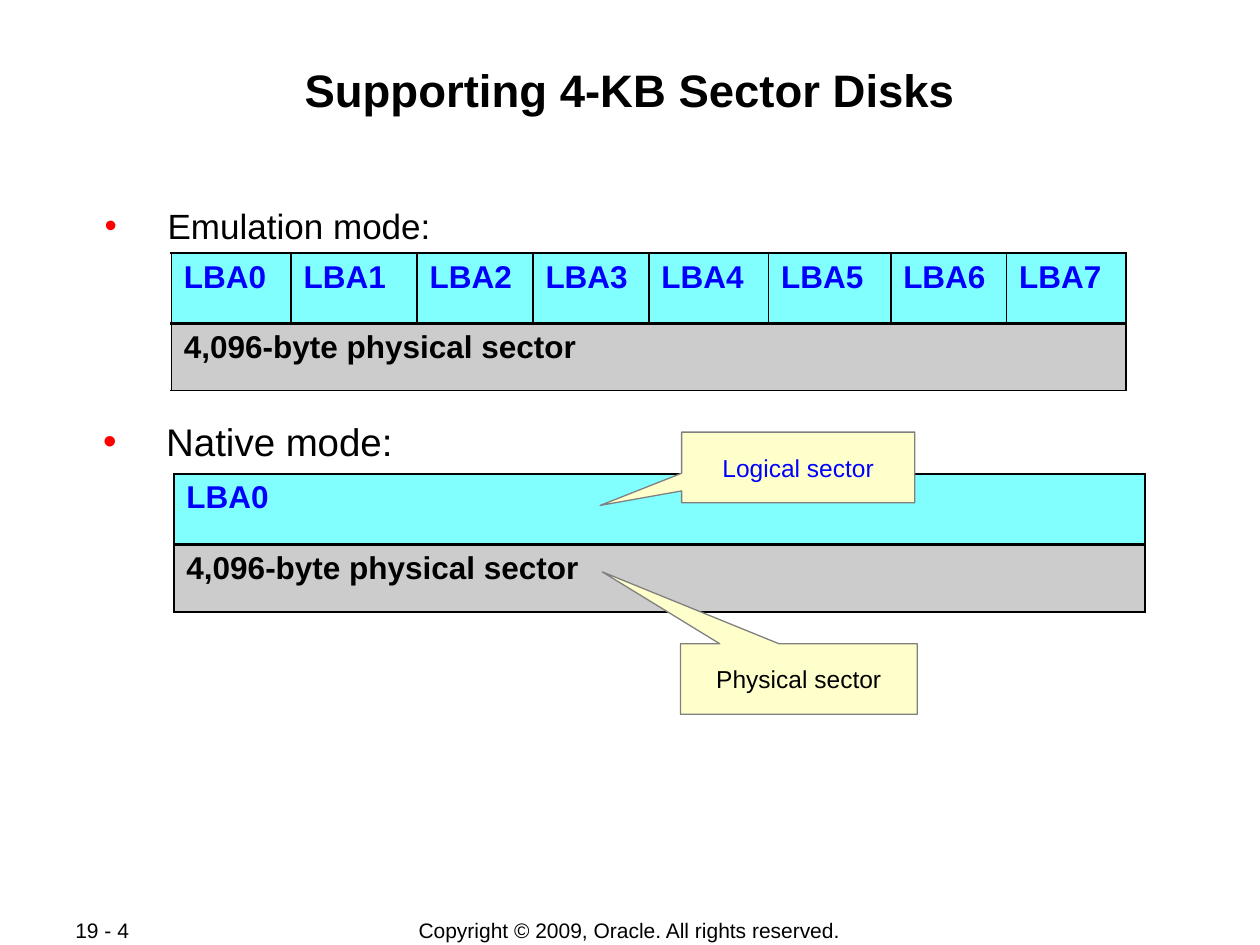
"""Build a slide on how 4-KB sector disks are supported."""
import pptx
import pptx.dml.color
import pptx.enum.shapes
import pptx.enum.text
import pptx.oxml
import pptx.oxml.ns
import pptx.util

Inches = pptx.util.Inches
Pt = pptx.util.Pt
RGBColor = pptx.dml.color.RGBColor
Align = pptx.enum.text.PP_ALIGN
Anchor = pptx.enum.text.MSO_ANCHOR

BLACK = RGBColor(0, 0, 0)
BLUE = RGBColor(0, 0, 255)
RED = RGBColor(255, 0, 0)
CYAN = RGBColor(0x81, 0xFF, 0xFF)
GRAY = RGBColor(0xCC, 0xCC, 0xCC)
CREAM = RGBColor(0xFF, 0xFF, 0xCC)
EDGE = RGBColor(0x80, 0x80, 0x80)

THIN = 1.08
THICK = 2.21
SECTOR = "4,096-byte physical sector"


def set_all(item, values):
    for name, value in values.items():
        setattr(item, name, value)


def add_xml(parent, body):
    space = pptx.oxml.ns.nsdecls("a")
    head, tail = body.split(">", 1)
    parent.append(pptx.oxml.parse_xml(f"{head} {space}>{tail}"))


def write(frame, text, size, color=BLACK, bold=False, align=Align.LEFT):
    para = frame.paragraphs[0]
    para.alignment = align
    run = para.add_run()
    run.text = text
    set_all(run.font, {"name": "Arial", "size": Pt(size), "bold": bold})
    run.font.color.rgb = color
    return para


def add_text(slide, box, text, size, pad=(0.01, 0.01), anchor=Anchor.TOP, **style):
    frame = slide.shapes.add_textbox(*map(Inches, box)).text_frame
    across, down = map(Inches, pad)
    set_all(frame, {
        "word_wrap": True, "vertical_anchor": anchor,
        "margin_left": across, "margin_right": across,
        "margin_top": down, "margin_bottom": down,
    })
    return write(frame, text, size, **style)


def add_bullet(slide, box, text, size):
    props = add_text(slide, box, text, size)._p.get_or_add_pPr()
    props.set("marL", str(Inches(0.63)))
    props.set("indent", str(Inches(-0.5)))
    add_xml(props, f'<a:buClr><a:srgbClr val="{RED}"/></a:buClr>')
    add_xml(props, '<a:buFont typeface="Arial"></a:buFont>')
    add_xml(props, '<a:buChar char="•"></a:buChar>')


def style_cell(cell, fill, top, bottom):
    props = cell._tc.get_or_add_tcPr()
    for side, width in zip("LRTB", (THIN, THIN, top, bottom)):
        add_xml(props, f'<a:ln{side} w="{Pt(width)}"><a:solidFill>'
                       f'<a:srgbClr val="{BLACK}"/></a:solidFill></a:ln{side}>')
    cell.fill.solid()
    cell.fill.fore_color.rgb = fill


def add_disk(slide, left, top, widths, heights):
    count = len(widths)
    table = slide.shapes.add_table(
        2, count, Inches(left), Inches(top),
        Inches(sum(widths)), Inches(sum(heights))).table
    set_all(table, {"first_row": False, "horz_banding": False})
    for row, height in zip(table.rows, heights):
        row.height = Inches(height)
    for index, width in enumerate(widths):
        table.columns[index].width = Inches(width)
        block = table.cell(0, index)
        style_cell(block, CYAN, THIN, THICK)
        write(block.text_frame, f"LBA{index}", 18, BLUE, True)
        style_cell(table.cell(1, index), GRAY, THICK, THIN)
    base = table.cell(1, 0)
    if count > 1:
        base.merge(table.cell(1, count - 1))
    write(base.text_frame, SECTOR, 18, bold=True)


def add_callout(slide, box, tip, text, color):
    kind = pptx.enum.shapes.MSO_SHAPE.RECTANGULAR_CALLOUT
    shape = slide.shapes.add_shape(kind, *map(Inches, box))
    shape.shadow.inherit = False
    shape.adjustments[0], shape.adjustments[1] = tip
    shape.fill.solid()
    shape.fill.fore_color.rgb = CREAM
    shape.line.color.rgb = EDGE
    shape.line.width = Pt(0.75)
    shape.text_frame.vertical_anchor = Anchor.MIDDLE
    write(shape.text_frame, text, 14, color, align=Align.CENTER)


def main():
    deck = pptx.Presentation()
    set_all(deck, {"slide_width": Inches(10), "slide_height": Inches(7.5)})
    slide = deck.slides.add_slide(deck.slide_layouts[6])

    foot = {"size": 12, "pad": (0.1, 0.05), "anchor": Anchor.MIDDLE}
    add_text(slide, (2.75, 7.28, 4.49, 0.21),
             "Copyright © 2009, Oracle. All rights reserved.",
             align=Align.CENTER, **foot)
    add_text(slide, (0.5, 7.28, 1.06, 0.2), "19 - 4", **foot)
    add_text(slide, (0.67, 0.48, 8.66, 0.96), "Supporting 4-KB Sector Disks",
             26, bold=True, align=Align.CENTER)

    add_bullet(slide, (0.69, 1.61, 4.25, 0.36), "Emulation mode:", 20)
    add_disk(slide, 1.36, 2.01,
             (0.95, 1, 0.92, 0.92, 0.95, 0.97, 0.92, 0.95), (0.56, 0.53))
    add_bullet(slide, (0.68, 3.31, 8.66, 0.39), "Native mode:", 22)
    add_disk(slide, 1.38, 3.76, (7.71,), (0.56, 0.54))

    add_callout(slide, (5.41, 3.43, 1.85, 0.56), (-0.85, 0.54),
                "Logical sector", BLUE)
    add_callout(slide, (5.4, 5.11, 1.88, 0.56), (-0.83, -1.52),
                "Physical sector", BLACK)
    deck.save("out.pptx")


if __name__ == "__main__":
    main()
